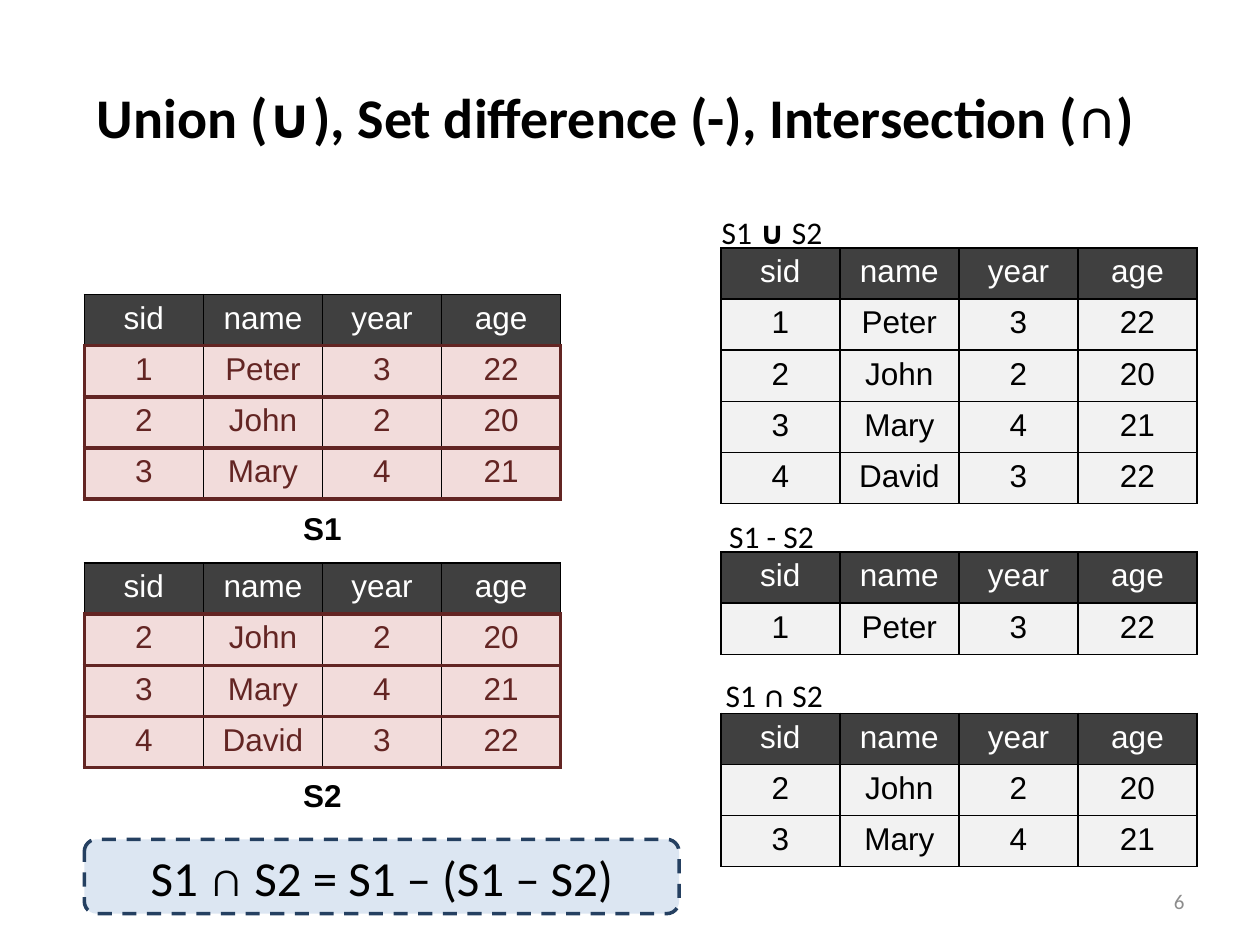
"""Build a slide on union, set difference and intersection of two relations."""
from lxml.etree import SubElement
from pptx import Presentation
from pptx.dml.color import RGBColor
from pptx.enum.dml import MSO_LINE
from pptx.enum.shapes import MSO_SHAPE
from pptx.enum.text import MSO_ANCHOR, PP_ALIGN
from pptx.oxml.ns import qn
from pptx.util import Cm, Pt

BLACK = RGBColor(0x00, 0x00, 0x00)
WHITE = RGBColor(0xFF, 0xFF, 0xFF)
CHARCOAL = RGBColor(0x40, 0x40, 0x40)
PALE_GREY = RGBColor(0xF2, 0xF2, 0xF2)
ROSE = RGBColor(0xF2, 0xDC, 0xDB)
MAROON = RGBColor(0x63, 0x25, 0x23)
PALE_BLUE = RGBColor(0xDC, 0xE6, 0xF2)
NAVY = RGBColor(0x25, 0x40, 0x61)
GREY = RGBColor(0x8C, 0x8C, 0x8C)

HEADER = ("sid", "name", "year", "age")
PETER = ("1", "Peter", "3", "22")
JOHN = ("2", "John", "2", "20")
MARY = ("3", "Mary", "4", "21")
DAVID = ("4", "David", "3", "22")
COLUMN_WIDTH, ROW_HEIGHT = 2.4, 1.03
LEFT, RIGHT = 1.7, 14.53


def write(frame, runs, size, font, color, align):
    """Fill the first paragraph with (text, bold) runs."""
    para = frame.paragraphs[0]
    para.alignment = align
    for text, bold in runs:
        span = para.add_run()
        span.text = text
        span.font.size = Pt(size)
        span.font.name = font
        span.font.bold = bold
        span.font.color.rgb = color


def add_border(cell, side, color, width):
    """Draw one side (L, R, T or B) of a table cell."""
    line = SubElement(cell._tc.get_or_add_tcPr(), qn(f"a:ln{side}"), w=str(Pt(width)))
    fill = SubElement(line, qn("a:solidFill"))
    SubElement(fill, qn("a:srgbClr"), val=str(color))


deck = Presentation()
deck.slide_width, deck.slide_height = Cm(25.4), Cm(19.05)
slide = deck.slides.add_slide(deck.slide_layouts[6])

relations = [
    (LEFT, 5.94, (PETER, JOHN, MARY), ROSE, MAROON, 2.25),
    (LEFT, 11.35, (JOHN, MARY, DAVID), ROSE, MAROON, 2.25),
    (RIGHT, 5, (PETER, JOHN, MARY, DAVID), PALE_GREY, BLACK, 1),
    (RIGHT, 11.13, (PETER,), PALE_GREY, BLACK, 1),
    (RIGHT, 14.38, (JOHN, MARY), PALE_GREY, BLACK, 1),
]
for left, top, students, body_fill, body_color, body_width in relations:
    rows = (HEADER, *students)
    table = slide.shapes.add_table(
        len(rows), len(HEADER), Cm(left), Cm(top),
        Cm(COLUMN_WIDTH * len(HEADER)), Cm(ROW_HEIGHT * len(rows))).table
    table.first_row = table.horz_banding = False
    for column in table.columns:
        column.width = Cm(COLUMN_WIDTH)
    thin, thick = (BLACK, 1), (body_color, body_width)
    for row_index, values in enumerate(rows):
        table.rows[row_index].height = Cm(ROW_HEIGHT)
        is_header = row_index == 0
        for column_index, value in enumerate(values):
            cell = table.cell(row_index, column_index)
            write(cell.text_frame, [(value, False)], 18, "Arial",
                  WHITE if is_header else body_color, PP_ALIGN.CENTER)
            starts_row = column_index == 0 and not is_header
            ends_row = column_index == len(HEADER) - 1 and not is_header
            add_border(cell, "L", *(thick if starts_row else thin))
            add_border(cell, "R", *(thick if ends_row else thin))
            add_border(cell, "T", *(thin if is_header else thick))
            add_border(cell, "B", *thick)
            cell.fill.solid()
            cell.fill.fore_color.rgb = CHARCOAL if is_header else body_fill

title = slide.shapes.add_textbox(Cm(1.27), Cm(0.76), Cm(22.86), Cm(3.18))
title.text_frame.word_wrap = True
title.text_frame.vertical_anchor = MSO_ANCHOR.MIDDLE
title.text_frame.margin_right = Cm(0.81)
write(title.text_frame, [("Union (∪), Set difference (-), Intersection (∩)", True)],
      32, "Calibri", BLACK, PP_ALIGN.CENTER)

for name, top in (("S1", 10.13), ("S2", 15.52)):
    box = slide.shapes.add_textbox(Cm(5), Cm(top), Cm(3), Cm(1.02))
    box.text_frame.word_wrap = True
    write(box.text_frame, [(name, True)], 18, "Arial", BLACK, PP_ALIGN.CENTER)

captions = [
    (14.3, 4.17, 2.54, [("S1 ", False), ("∪", True), (" S2", False)]),
    (14.45, 10.29, 2.24, [("S1 - S2", False)]),
    (14.38, 13.51, 2.54, [("S1 ", False), ("∩", True), (" S2", False)]),
]
for left, top, width, runs in captions:
    box = slide.shapes.add_textbox(Cm(left), Cm(top), Cm(width), Cm(1.02))
    box.text_frame.word_wrap = False
    write(box.text_frame, runs, 18, "Calibri", BLACK, PP_ALIGN.LEFT)

number = slide.shapes.add_textbox(Cm(18.21), Cm(17.65), Cm(5.92), Cm(1.02))
number.text_frame.word_wrap = True
number.text_frame.vertical_anchor = MSO_ANCHOR.MIDDLE
write(number.text_frame, [("6", False)], 12, "Calibri", GREY, PP_ALIGN.RIGHT)

identity = slide.shapes.add_shape(
    MSO_SHAPE.ROUNDED_RECTANGLE, Cm(LEFT), Cm(16.92), Cm(11.99), Cm(1.5))
identity.shadow.inherit = False
identity.fill.solid()
identity.fill.fore_color.rgb = PALE_BLUE
identity.line.color.rgb = NAVY
identity.line.width = Pt(2)
identity.line.dash_style = MSO_LINE.DASH
identity.text_frame.vertical_anchor = MSO_ANCHOR.MIDDLE
write(identity.text_frame, [("S1 ∩ S2 = S1 – (S1 – S2)", False)],
      28, "Calibri", BLACK, PP_ALIGN.CENTER)

deck.save("out.pptx")
